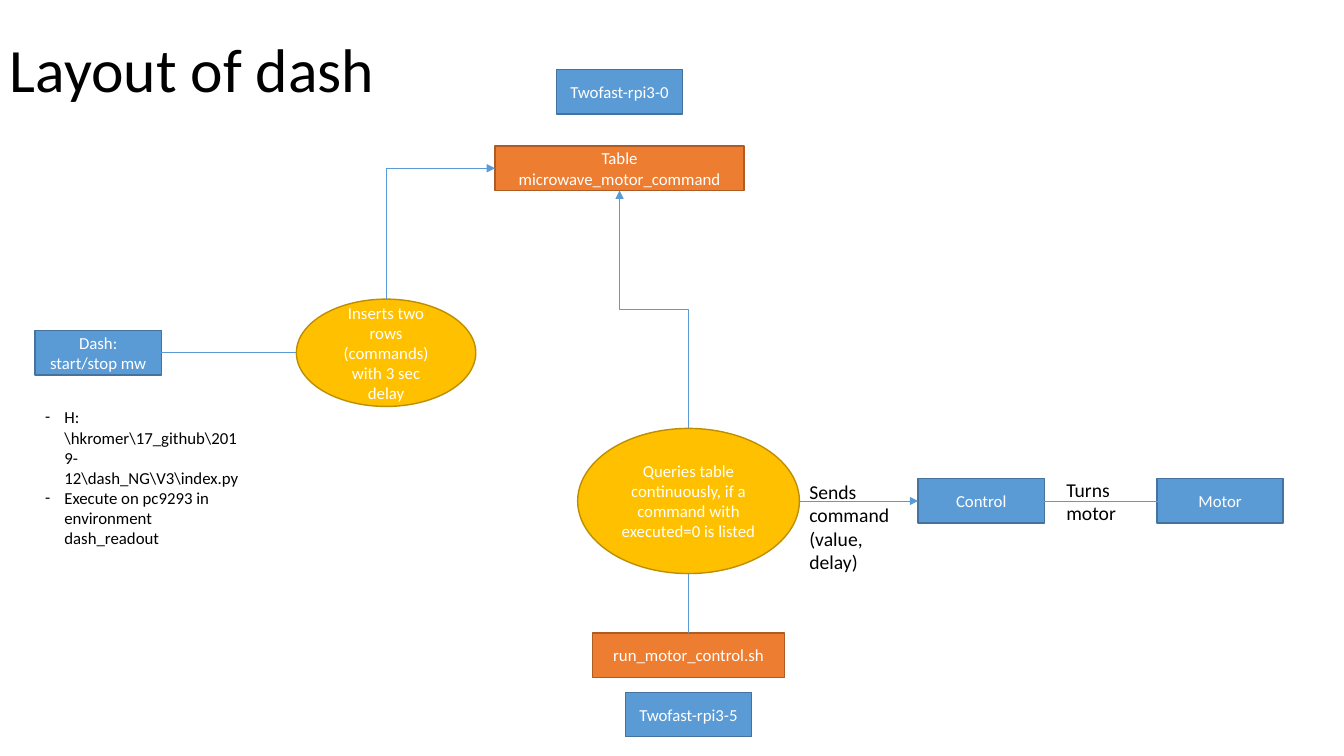
from lxml.etree import SubElement
from pptx import Presentation
from pptx.dml.color import RGBColor
from pptx.enum.shapes import MSO_CONNECTOR, MSO_SHAPE
from pptx.enum.text import MSO_ANCHOR, MSO_AUTO_SIZE, PP_ALIGN
from pptx.oxml.ns import qn
from pptx.util import Inches, Pt

WIDTH, HEIGHT = Inches(13.33), Inches(7.5)
FONT = "Calibri"
BLACK = RGBColor(0x00, 0x00, 0x00)
WHITE = RGBColor(0xFF, 0xFF, 0xFF)
BLUE = RGBColor(0x5B, 0x9B, 0xD5)
BLUE_EDGE = RGBColor(0x43, 0x73, 0x9E)
ORANGE = RGBColor(0xED, 0x7D, 0x31)
ORANGE_EDGE = RGBColor(0xAF, 0x5C, 0x24)
GOLD = RGBColor(0xFF, 0xC0, 0x00)
GOLD_EDGE = RGBColor(0xBD, 0x8E, 0x00)

# Shared centre lines, in percent of the slide
TABLE_COLUMN, QUERY_COLUMN = 46.1, 51.23
DASH_ROW, MOTOR_ROW = 46.67, 66.27
BOX_WIDTH, BOX_HEIGHT = 9.38, 5.87


def across(percent):
    return round(WIDTH * percent / 100)


def down(percent):
    return round(HEIGHT * percent / 100)


def add_span(para, text, size, color):
    span = para.add_run()
    span.text = text
    span.font.name = FONT
    span.font.size = Pt(size)
    span.font.color.rgb = color


def add_node(page, text, column, row, fill, edge, width=BOX_WIDTH,
             height=BOX_HEIGHT, kind=MSO_SHAPE.RECTANGLE):
    """Draw a labelled shape centred on a column and a row."""
    node = page.shapes.add_shape(
        kind, across(column - width / 2), down(row - height / 2),
        across(width), down(height))
    node.shadow.inherit = False
    node.fill.solid()
    node.fill.fore_color.rgb = fill
    node.line.color.rgb = edge
    node.line.width = Pt(1)
    frame = node.text_frame
    frame.word_wrap = True
    frame.vertical_anchor = MSO_ANCHOR.MIDDLE
    para = frame.paragraphs[0]
    para.alignment = PP_ALIGN.CENTER
    add_span(para, text, 12, WHITE)
    return node


def add_dash_bullet(para):
    properties = para._p.get_or_add_pPr()
    properties.set("marL", str(Inches(0.19)))
    properties.set("indent", str(-Inches(0.19)))
    SubElement(properties, qn("a:buFont")).set("typeface", FONT)
    SubElement(properties, qn("a:buChar")).set("char", "-")


def add_label(page, lines, left, top, width, height, size=14, bulleted=False):
    box = page.shapes.add_textbox(
        across(left), down(top), across(width), down(height))
    frame = box.text_frame
    frame.word_wrap = True
    frame.auto_size = MSO_AUTO_SIZE.SHAPE_TO_FIT_TEXT
    for index, line in enumerate(lines):
        para = frame.add_paragraph() if index else frame.paragraphs[0]
        if bulleted:
            add_dash_bullet(para)
        add_span(para, line, size, BLACK)
    return box


def style_link(link, arrow):
    link.line.color.rgb = BLUE
    link.line.width = Pt(0.5)
    if arrow:
        SubElement(link.line._get_or_add_ln(), qn("a:tailEnd")).set("type", "triangle")
    SubElement(link._element.spPr, qn("a:effectLst"))


def add_link(page, start, end, arrow=False):
    link = page.shapes.add_connector(
        MSO_CONNECTOR.STRAIGHT, across(start[0]), down(start[1]),
        across(end[0]), down(end[1]))
    style_link(link, arrow)
    return link


def add_rising_elbow(page, start, end, preset, turn, **flips):
    """Draw an arrow that leaves upwards: a horizontal elbow, turned."""
    left, right = sorted((across(start[0]), across(end[0])))
    bottom, top = down(start[1]), down(end[1])
    length, depth = bottom - top, right - left
    x = (left + right - length) // 2
    y = (top + bottom - depth) // 2
    link = page.shapes.add_connector(
        MSO_CONNECTOR.ELBOW, x, y, x + length, y + depth)
    shape_properties = link._element.spPr
    shape_properties.find(qn("a:prstGeom")).set("prst", preset)
    placement = shape_properties.find(qn("a:xfrm"))
    placement.set("rot", str(turn * 60000))
    for flip, value in flips.items():
        placement.set(flip, value)
    style_link(link, arrow=True)


def add_title(page, text):
    box = page.shapes.add_textbox(0, 0, across(86.27), down(19.33))
    frame = box.text_frame
    frame.word_wrap = True
    frame.vertical_anchor = MSO_ANCHOR.MIDDLE
    para = frame.paragraphs[0]
    para.line_spacing = 0.9
    add_span(para, text, 44, BLACK)


def main():
    deck = Presentation()
    deck.slide_width, deck.slide_height = WIDTH, HEIGHT
    page = deck.slides.add_slide(deck.slide_layouts[6])
    add_title(page, "Layout of dash")

    # Machines, scripts and steps
    blue, orange, gold = (BLUE, BLUE_EDGE), (ORANGE, ORANGE_EDGE), (GOLD, GOLD_EDGE)
    add_node(page, "Twofast-rpi3-0", TABLE_COLUMN, 12.13, *blue)
    add_node(page, "Table microwave_motor_command", TABLE_COLUMN, 22.27,
             *orange, width=18.53)
    add_node(page, "Inserts two rows (commands) with 3 sec delay", 28.73,
             DASH_ROW, *gold, width=13.35, height=14.2, kind=MSO_SHAPE.OVAL)
    dash = add_node(page, "Dash: start/stop mw", 7.31, DASH_ROW, *blue)
    add_node(page, "Twofast-rpi3-5", QUERY_COLUMN, 94.53, *blue)
    add_node(page, "Queries table continuously, if a command with executed=0 is listed",
             QUERY_COLUMN, MOTOR_ROW, *gold, width=16.5, height=19.2,
             kind=MSO_SHAPE.OVAL)
    runner = add_node(page, "run_motor_control.sh", QUERY_COLUMN, 86.67,
                      *orange, width=14.33)
    board = add_node(page, "Control", 73.01, MOTOR_ROW, *blue)
    add_node(page, "Motor", 90.79, MOTOR_ROW, *blue)

    # Straight links
    add_link(page, (12, DASH_ROW), (22.05, DASH_ROW)).begin_connect(dash, 3)
    add_link(page, (QUERY_COLUMN, 83.73), (QUERY_COLUMN, 75.87)).begin_connect(runner, 0)
    add_link(page, (59.48, MOTOR_ROW), (68.32, MOTOR_ROW), arrow=True).end_connect(board, 1)
    add_link(page, (77.7, MOTOR_ROW), (87.15, MOTOR_ROW), arrow=True).begin_connect(board, 3)

    # Arrows into the command table
    add_rising_elbow(page, (28.73, 39.57), (36.83, 22.27),
                     "bentConnector2", 90, flipH="1", flipV="1")
    add_rising_elbow(page, (QUERY_COLUMN, 56.67), (TABLE_COLUMN, 25.2),
                     "bentConnector3", 270, flipV="1")

    # Labels and notes on the start page
    add_label(page, ["Sends command", "(value, delay)"], 59.48, 62.8, 8.85, 13.87)
    add_label(page, ["Turns", "motor"], 78.6, 62.53, 8.85, 7.6)
    add_label(page, ["H:\\hkromer\\17_github\\2019-12\\dash_NG\\V3\\index.py",
                     "Execute on pc9293 in environment dash_readout"],
              2.63, 53.2, 16.28, 22.93, size=12, bulleted=True)

    deck.save("out.pptx")


if __name__ == "__main__":
    main()
